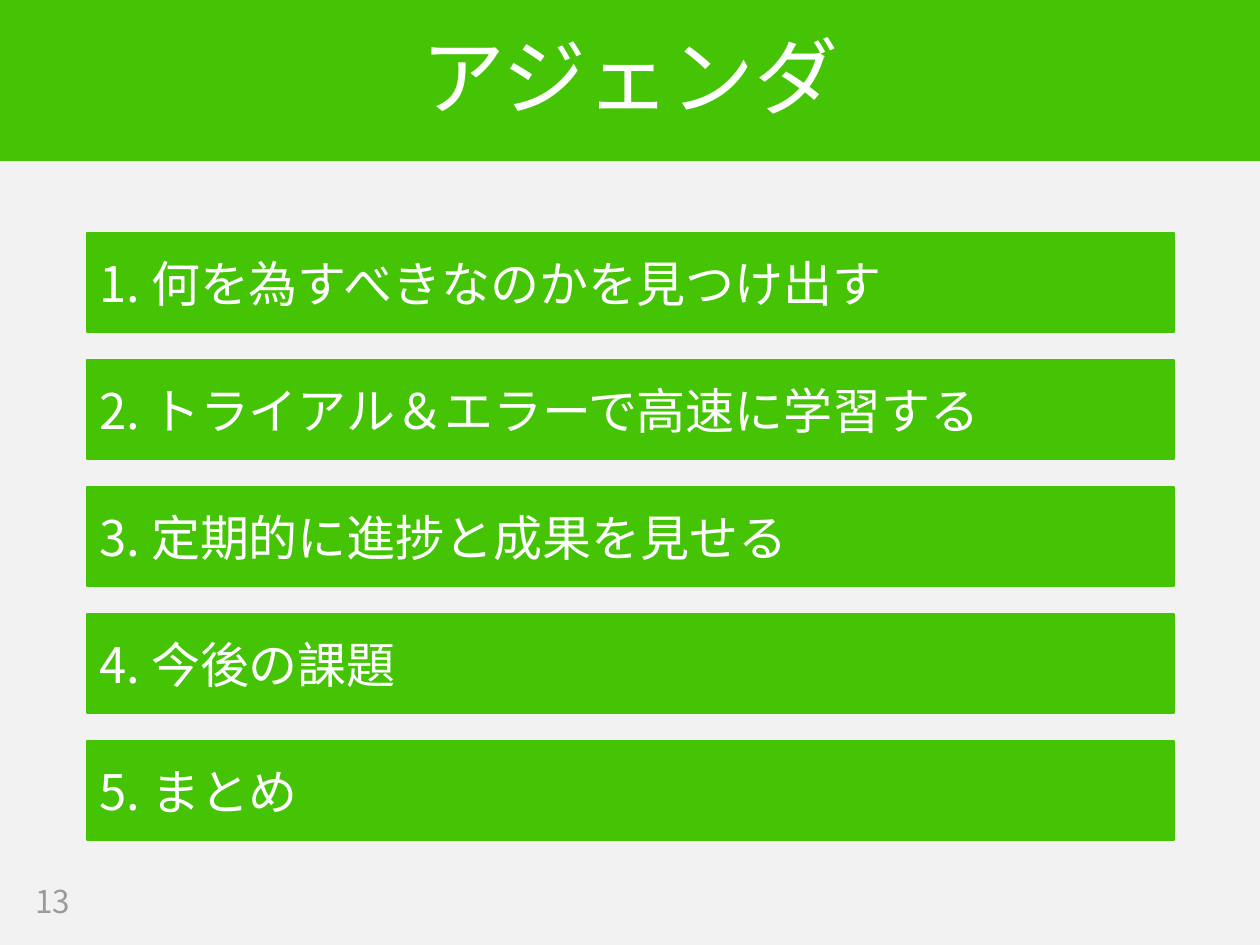
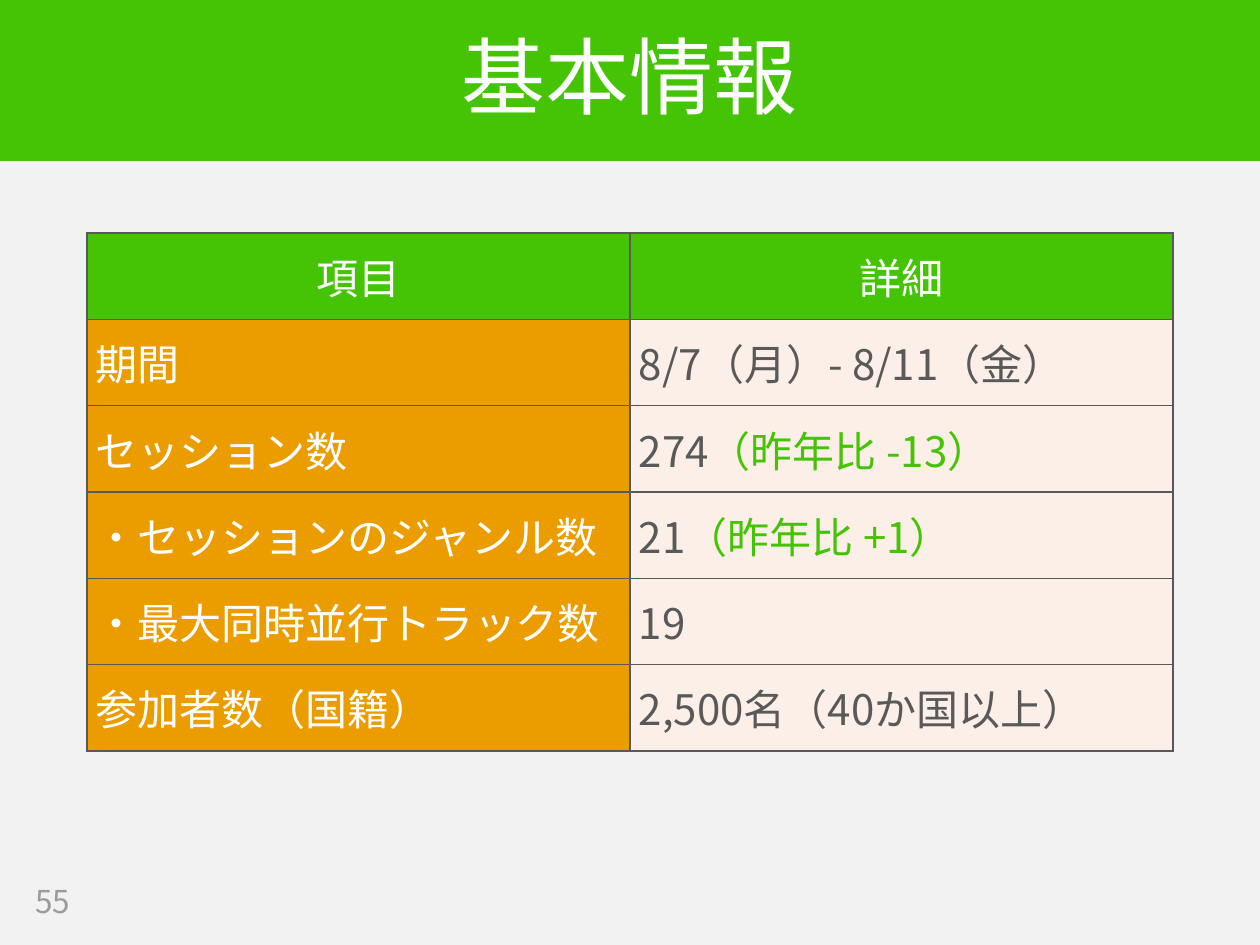
"""Build an agenda slide and a table slide that share a green title band."""
import pptx
import pptx.dml.color
import pptx.enum.shapes
import pptx.enum.text
import pptx.oxml
import pptx.oxml.ns
import pptx.util

SCALE = 914400 / 126
FONT = "Noto Sans CJK JP"
COLOURS = {
    "page": "F2F2F2",
    "green": "44C404",
    "orange": "EB9D00",
    "cream": "FBEFE7",
    "grey": "595959",
    "number": "9B9B9B",
    "white": "FFFFFF",
}
RGB = {name: pptx.dml.color.RGBColor.from_string(code) for name, code in COLOURS.items()}
ALIGN = pptx.enum.text.PP_ALIGN
MIDDLE = pptx.enum.text.MSO_ANCHOR.MIDDLE
RECTANGLE = pptx.enum.shapes.MSO_SHAPE.RECTANGLE


def add_box(page, area, line_width=None):
    """Add a green rectangle, or a text box when no line width is given."""
    place = [round(value * SCALE) for value in area]
    if line_width is None:
        return page.shapes.add_textbox(*place)
    box = page.shapes.add_shape(RECTANGLE, *place)
    box.shadow.inherit = False
    box.fill.solid()
    box.fill.fore_color.rgb = RGB["green"]
    box.line.color.rgb = RGB["green"]
    box.line.width = pptx.util.Pt(line_width)
    return box


def write(frame, spans, size, align=ALIGN.LEFT, spacing=1.0):
    """Write one paragraph made of (text, colour) spans."""
    para = frame.paragraphs[0]
    for key, value in {"alignment": align, "line_spacing": spacing}.items():
        setattr(para, key, value)
    for text, colour in spans:
        span = para.add_run()
        span.text = text
        for key, value in {"name": FONT, "size": pptx.util.Pt(size)}.items():
            setattr(span.font, key, value)
        span.font.color.rgb = RGB[colour]
        east_asian = pptx.oxml.parse_xml(
            f'<a:ea {pptx.oxml.ns.nsdecls("a")} typeface="{FONT}"/>')
        span.font._element.find(pptx.oxml.ns.qn("a:latin")).addnext(east_asian)


deck = pptx.Presentation()
deck.slide_width = round(1260 * SCALE)
deck.slide_height = round(945 * SCALE)
background = deck.slide_master.background.fill
background.solid()
background.fore_color.rgb = RGB["page"]

pages = []
for title, number in [("アジェンダ", "13"), ("基本情報", "55")]:
    page = deck.slides.add_slide(deck.slide_layouts[6])
    add_box(page, (0, -1, 1260, 161), 1)
    title_frame = add_box(page, (0, 45, 1260, 72)).text_frame
    number_frame = add_box(page, (23, 876, 100, 49)).text_frame
    for frame in (title_frame, number_frame):
        for key, value in {"word_wrap": True, "vertical_anchor": MIDDLE}.items():
            setattr(frame, key, value)
    write(title_frame, [(title, "white")], 48, ALIGN.CENTER, 0.9)
    write(number_frame, [(number, "number")], 18)
    pages.append(page)
agenda_page, table_page = pages

agenda = [
    "何を為すべきなのかを見つけ出す",
    "トライアル＆エラーで高速に学習する",
    "定期的に進捗と成果を見せる",
    "今後の課題",
    "まとめ",
]
for index, topic in enumerate(agenda):
    bar = add_box(agenda_page, (87, 233 + 127 * index, 1087, 99), 0.75)
    bar.text_frame.vertical_anchor = MIDDLE
    write(bar.text_frame, [(f"{index + 1}. {topic}", "white")], 28)

facts = [
    ("項目", [("詳細", "white")]),
    ("期間", [("8/7（月）- 8/11（金）", "grey")]),
    ("セッション数", [("274", "grey"), ("（昨年比 -13）", "green")]),
    ("・セッションのジャンル数", [("21", "grey"), ("（昨年比 +1）", "green")]),
    ("・最大同時並行トラック数", [("19", "grey")]),
    ("参加者数（国籍）", [("2,500名（40か国以上）", "grey")]),
]
table_area = [round(value * SCALE) for value in (87, 233, 1086, 518)]
table = table_page.shapes.add_table(len(facts), 2, *table_area).table
table.horz_banding = False
side, edge = round(9 * SCALE), round(6 * SCALE)
cell_format = {
    "vertical_anchor": MIDDLE,
    "margin_left": side,
    "margin_right": side,
    "margin_top": edge,
    "margin_bottom": edge,
}
for row, (label, details) in enumerate(facts):
    for column, spans in enumerate([[(label, "white")], details]):
        cell = table.cell(row, column)
        for key, value in cell_format.items():
            setattr(cell, key, value)
        fill = "green" if row == 0 else ("orange", "cream")[column]
        cell.fill.solid()
        cell.fill.fore_color.rgb = RGB[fill]
        write(cell.text_frame, spans, 24, ALIGN.CENTER if row == 0 else ALIGN.LEFT)
        properties = cell._tc.get_or_add_tcPr()
        for position, border in enumerate(("lnL", "lnR", "lnT", "lnB")):
            properties.insert(position, pptx.oxml.parse_xml(
                f'<a:{border} {pptx.oxml.ns.nsdecls("a")} w="12700"><a:solidFill>'
                f'<a:srgbClr val="{COLOURS["grey"]}"/></a:solidFill></a:{border}>'))

deck.save("out.pptx")
